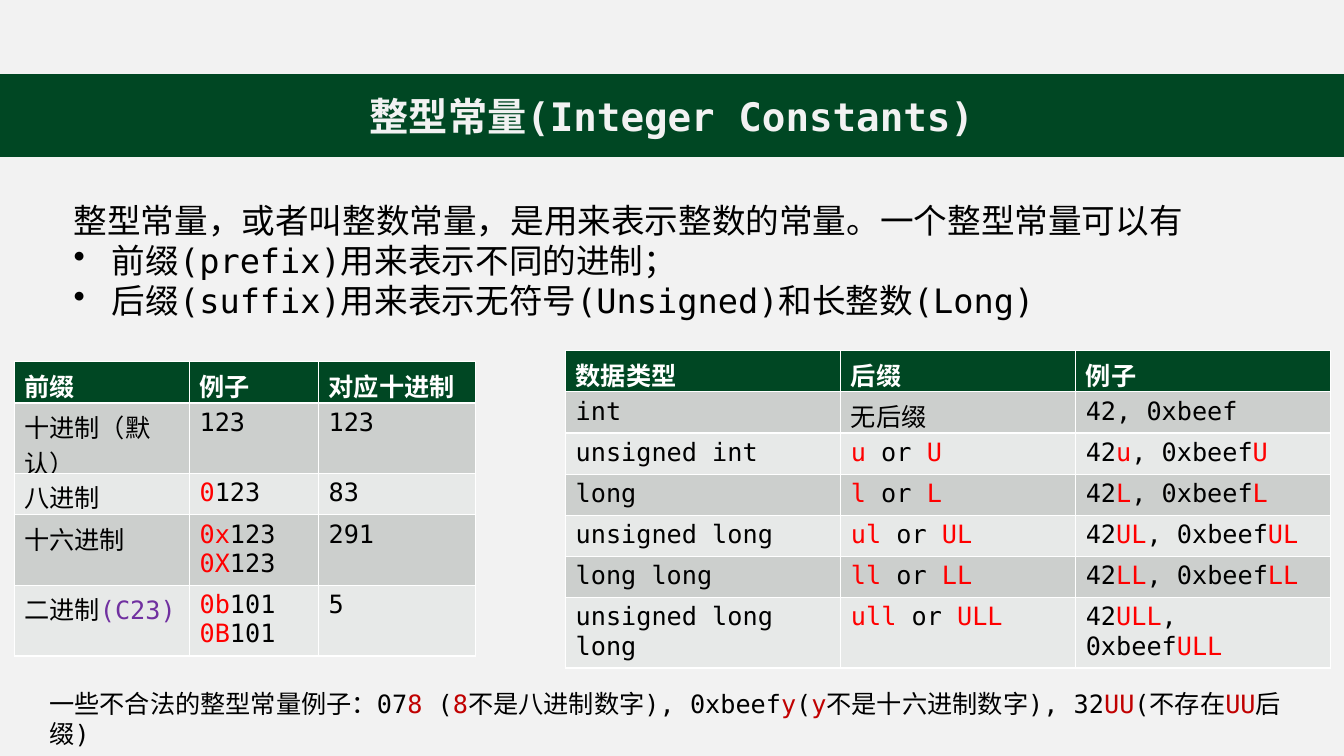
from typing import NamedTuple

from lxml import etree
from pptx import Presentation
from pptx.dml.color import RGBColor
from pptx.enum.shapes import MSO_SHAPE
from pptx.enum.text import MSO_ANCHOR, PP_ALIGN
from pptx.oxml.ns import qn
from pptx.util import Emu, Inches, Pt

RECT = MSO_SHAPE.RECTANGLE
MIDDLE = MSO_ANCHOR.MIDDLE
CENTER = PP_ALIGN.CENTER

MONO, SANS = "DejaVu Sans Mono", "Noto Sans CJK SC"
GREEN, PALE, WHITE, BLACK = "004723", "F2F2F2", "FFFFFF", "000000"
RED, DARK, PURPLE = "FF0000", "C00000", "7030A0"
BANDS = "CCCFCD", "E7E9E8"
ROW = 5.44  # table row, percent of the slide height


class Box(NamedTuple):
    """Place and size, in percent of the slide's width and height."""
    left: float
    top: float
    width: float
    height: float


class Style(NamedTuple):
    size: int
    font: str = MONO
    color: str = BLACK
    bold: bool = False


class Grid(NamedTuple):
    left: float
    top: float
    cols: list[float]
    rows: list[list[str]]


deck = Presentation()
deck.slide_width, deck.slide_height = Inches(13.33), Inches(7.5)
slide = deck.slides.add_slide(deck.slide_layouts[6])
shapes = slide.shapes


def wide(share: float) -> Emu:
    return Emu(round(deck.slide_width * share / 100))


def high(share: float) -> Emu:
    return Emu(round(deck.slide_height * share / 100))


def frame(box: Box) -> tuple[Emu, Emu, Emu, Emu]:
    return wide(box.left), high(box.top), wide(box.width), high(box.height)


def paint(target, color: str) -> None:
    """Give a fill or a font its colour."""
    if hasattr(target, "solid"):
        target.solid()
        target = target.fore_color
    else:
        target = target.color
    target.rgb = RGBColor.from_string(color)


def write(para, text: str, style: Style, accent: str = "", face: str = "") -> None:
    """Every second part between bars takes the accent colour or face."""
    font = para.font
    font.size, font.name, font.bold = Pt(style.size), style.font, style.bold
    paint(font, style.color)
    for i, part in enumerate(text.split("|")):
        if not part:
            continue
        run = para.add_run()
        run.text = part
        if i % 2 and accent:
            paint(run.font, accent)
        if i % 2 and face:
            run.font.name = face


def panel(box: Box, color: str):
    shape = shapes.add_shape(RECT, *frame(box))
    shape.shadow.inherit = False
    paint(shape.fill, color)
    paint(shape.line.fill, color)
    shape.line.width = Pt(1)
    return shape


def bullet(para) -> None:
    props = para._p.get_or_add_pPr()
    indent = Inches(0.38)
    props.set("marL", str(indent))
    props.set("indent", str(-indent))
    mark = etree.Element(qn("a:buChar"), char="•")
    props.insert_element_before(mark, "a:tabLst", "a:defRPr", "a:extLst")


def table(grid: Grid) -> None:
    box = Box(grid.left, grid.top, sum(grid.cols), ROW * len(grid.rows))
    sheet = shapes.add_table(len(grid.rows), len(grid.cols), *frame(box)).table
    for col, width in zip(sheet.columns, grid.cols):
        col.width = wide(width)
    for i, row in enumerate(grid.rows):
        style = Style(18) if i else Style(18, color=WHITE, bold=True)
        for j, text in enumerate(row):
            cell = sheet.cell(i, j)
            paint(cell.fill, BANDS[(i - 1) % 2] if i else GREEN)
            accent = RED if j else PURPLE
            write(cell.text_frame.paragraphs[0], text, style, accent)


# Background and title band
panel(Box(0, 0, 100, 100), PALE)
title = panel(Box(0, 9.87, 100, 10.8), GREEN).text_frame
title.vertical_anchor = MIDDLE
title.paragraphs[0].alignment = CENTER
write(title.paragraphs[0], "整型常量(Integer Constants)", Style(28, color=PALE, bold=True))

# Introduction
INTRO = [
    "整型常量，或者叫整数常量，是用来表示整数的常量。一个整型常量可以有",
    "前缀|(prefix)|用来表示不同的进制；",
    "后缀|(suffix)|用来表示无符号|(Unsigned)|和长整数|(Long)",
]
intro = shapes.add_textbox(*frame(Box(5.48, 26.4, 88.67, 15.87))).text_frame
intro.word_wrap = True
intro.margin_left = intro.margin_right = intro.margin_top = intro.margin_bottom = 0
for i, text in enumerate(INTRO):
    para = intro.add_paragraph() if i else intro.paragraphs[0]
    write(para, text, Style(24, SANS), face=MONO)
    if i:
        bullet(para)

# Prefixes
table(Grid(1.05, 47.87, [13.05, 9.6, 11.7], [
    ["前缀", "例子", "对应十进制"],
    ["十进制（默认）", "123", "123"],
    ["八进制", "|0|123", "83"],
    ["十六进制", "|0x|123 |0X|123", "291"],
    ["二进制|(C23)", "|0b|101 |0B|101", "5"],
]))

# Suffixes
KINDS = [("unsigned int", "u", "U", "u"), ("long", "l", "L", "L"),
         ("unsigned long", "ul", "UL", "UL"), ("long long", "ll", "LL", "LL"),
         ("unsigned long long", "ull", "ULL", "ULL")]
table(Grid(42.08, 46.4, [20.48, 17.48, 18.97], [
    ["数据类型", "后缀", "例子"],
    ["int", "无后缀", "42, 0xbeef"],
    *([kind, f"|{low}| or |{cap}", f"42|{first}|, 0xbeef|{cap}"]
      for kind, low, cap, first in KINDS),
]))

# Invalid examples
note = shapes.add_textbox(*frame(Box(2.93, 90.4, 94.15, 5.33))).text_frame
note.word_wrap = True
write(note.paragraphs[0],
      "一些不合法的整型常量例子：07|8| (|8|不是八进制数字), 0xbeef|y|(|y|"
      "不是十六进制数字), 32|UU|(不存在|UU|后缀)", Style(18), DARK)

deck.save("out.pptx")
